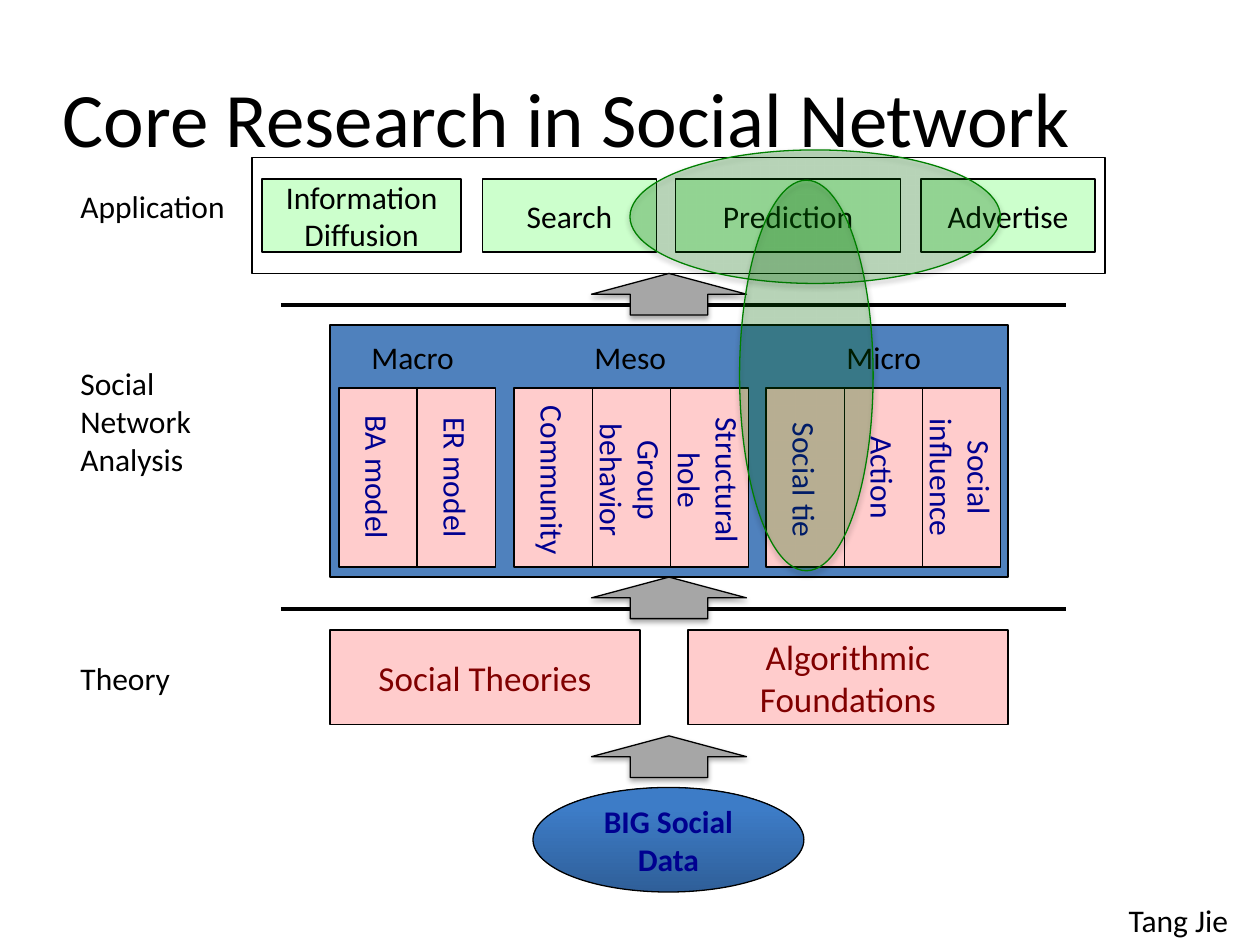
"""Draw the layers of core research in social networks."""
from dataclasses import dataclass

import lxml.etree
import pptx
import pptx.dml.color
import pptx.enum.dml
import pptx.enum.shapes
import pptx.enum.text
import pptx.oxml.ns
import pptx.util

Inches = pptx.util.Inches
Kind = pptx.enum.shapes.MSO_SHAPE
Align = pptx.enum.text.PP_ALIGN
qn = pptx.oxml.ns.qn

HUES = {
    "black": "000000", "white": "FFFFFF", "navy": "000090", "maroon": "800000",
    "pink": "FFCCCC", "mint": "CCFFCC", "blue": "4F81BD", "gray": "A6A6A6",
    "green": "008000", "deep": "2F5F99", "bright": "3D7CC7",
}


@dataclass
class Box:
    left: float
    top: float
    width: float
    height: float
    fill: str
    text: str = ""
    ink: str = "black"
    size: int = 18
    kind: int = Kind.RECTANGLE
    turn: int = 0
    edge: str = "black"
    tight: bool = False


@dataclass
class Label:
    left: float
    top: float
    width: float
    height: float
    text: str


@dataclass
class Level:
    name: str
    indent: float
    start: float
    topics: list[str]


def paint(name: str) -> pptx.dml.color.RGBColor:
    """Return the named colour."""
    return pptx.dml.color.RGBColor.from_string(HUES[name])


def write(frame, text: str, ink: str, size: int, align) -> None:
    """Put one styled paragraph in a text frame."""
    frame.word_wrap = True
    frame.vertical_anchor = pptx.enum.text.MSO_ANCHOR.MIDDLE
    line = frame.paragraphs[0]
    line.text = text
    line.alignment = align
    line.font.name = "Calibri"
    line.font.size = pptx.util.Pt(size)
    line.font.color.rgb = paint(ink)


def draw_box(slide, box: Box):
    """Draw a filled shape with its text."""
    shape = slide.shapes.add_shape(
        box.kind, Inches(box.left), Inches(box.top), Inches(box.width), Inches(box.height))
    shape.shadow.inherit = False
    shape.rotation = box.turn
    shape.fill.solid()
    shape.fill.fore_color.rgb = paint(box.fill)
    shape.line.color.rgb = paint(box.edge)
    shape.line.width = pptx.util.Pt(0.75)
    if box.text:
        write(shape.text_frame, box.text, box.ink, box.size, Align.CENTER)
    if box.tight:
        shape.text_frame.margin_left = Inches(0.04)
        shape.text_frame.margin_right = 0
    return shape


def draw_label(slide, label: Label) -> None:
    """Draw plain left-aligned text."""
    shape = slide.shapes.add_textbox(
        Inches(label.left), Inches(label.top), Inches(label.width), Inches(label.height))
    write(shape.text_frame, label.text, "black", 18, Align.LEFT)


def draw_rule(slide, top: float) -> None:
    """Draw a line between two layers."""
    rule = slide.shapes.add_connector(
        pptx.enum.shapes.MSO_CONNECTOR.STRAIGHT,
        Inches(2.23), Inches(top), Inches(8.46), Inches(top))
    rule.line.color.rgb = paint("black")
    rule.line.width = pptx.util.Pt(2.25)
    lxml.etree.SubElement(rule._element.spPr, qn("a:effectLst"))


def add_shade(shape) -> None:
    """Give a shape a soft shadow below it."""
    cast = lxml.etree.SubElement(
        shape._element.spPr.find(qn("a:effectLst")), qn("a:outerShdw"),
        blurRad="40000", dist="23000", dir="5400000", rotWithShape="0")
    hue = lxml.etree.SubElement(cast, qn("a:srgbClr"), val=HUES["black"])
    lxml.etree.SubElement(hue, qn("a:alpha"), val="35000")


def draw_arrow(slide, top: float) -> None:
    """Draw an upward block arrow whose tip is at top."""
    width, height = 0.33, 1.23
    add_shade(draw_box(slide, Box(
        5.31 - width / 2, top + (width - height) / 2, width, height, "gray",
        kind=Kind.RIGHT_ARROW, turn=270)))


def draw_halo(slide, box: Box) -> None:
    """Draw a see-through ellipse."""
    shape = draw_box(slide, box)
    hue = shape._element.spPr.find(qn("a:solidFill"))[0]
    lxml.etree.SubElement(hue, qn("a:alpha"), val="22000")
    add_shade(shape)


def draw_level(slide, level: Level) -> None:
    """Draw a heading and its row of upright boxes."""
    draw_label(slide, Label(level.indent, 2.67, 1, 0.33, level.name))
    long, short = 1.42, 0.62
    for i, topic in enumerate(level.topics):
        mid = level.start + (i + 0.5) * short
        tight = level.name == "Meso" or topic == "Social tie"
        draw_box(slide, Box(mid - long / 2, 3.79 - short / 2, long, short, "pink",
                            topic, "navy", turn=90, tight=tight))


def main() -> None:
    """Build and save the slide."""
    deck = pptx.Presentation()
    deck.slide_width, deck.slide_height = Inches(10), Inches(7.5)
    slide = deck.slides.add_slide(deck.slide_layouts[5])
    title = slide.shapes.title
    title.left, title.top = Inches(0), Inches(0.3)
    title.width, title.height = Inches(9), Inches(1.25)
    write(title.text_frame, "Core Research in Social Network", "black", 44, Align.CENTER)

    data = draw_box(slide, Box(4.23, 6.25, 2.15, 0.83, "blue", "BIG Social Data", "navy",
                               kind=Kind.OVAL))
    data.text_frame.paragraphs[0].font.bold = True
    data.fill.gradient()
    data.fill.gradient_angle = 90
    for stop, name, place in zip(data.fill.gradient_stops, ("deep", "bright"), (0, 0.8)):
        stop.color.rgb = paint(name)
        stop.position = place

    for left, width, text in ((2.62, 2.46, "Social Theories"),
                              (5.46, 2.54, "Algorithmic Foundations")):
        draw_box(slide, Box(left, 5, width, 0.75, "pink", text, "maroon", 20))

    draw_box(slide, Box(2.62, 2.58, 5.38, 2, "blue"))
    draw_box(slide, Box(2, 1.25, 6.77, 0.92, "white"))
    for top in (2.42, 4.83):
        draw_rule(slide, top)
    for top in (2.17, 4.58, 5.84):
        draw_arrow(slide, top)
    for left, width, text in ((2.08, 1.58, "Information Diffusion"), (3.83, 1.38, "Search"),
                              (5.36, 1.79, "Prediction"), (7.31, 1.38, "Advertise")):
        draw_box(slide, Box(left, 1.42, width, 0.58, "mint", text))
    for top, text in ((1.17, "Application"), (2.88, "Social Network Analysis"),
                      (4.92, "Theory")):
        draw_label(slide, Label(0.54, top, 1.54, 0.92, text))

    for level in (
        Level("Macro", 2.85, 2.69, ["BA model", "ER model"]),
        Level("Meso", 4.62, 4.08, ["Community", "Group behavior", "Structural hole"]),
        Level("Micro", 6.62, 6.08, ["Social tie", "Action", "Social influence"]),
    ):
        draw_level(slide, level)

    draw_halo(slide, Box(5, 1.19, 2.94, 1.06, "green", kind=Kind.OVAL, edge="green"))
    draw_halo(slide, Box(4.85, 2.45, 3.1, 1.06, "green", kind=Kind.OVAL, turn=270,
                         edge="green"))
    draw_label(slide, Label(8.86, 7.1, 1.14, 0.4, "Tang Jie"))
    deck.save("out.pptx")


if __name__ == "__main__":
    main()
